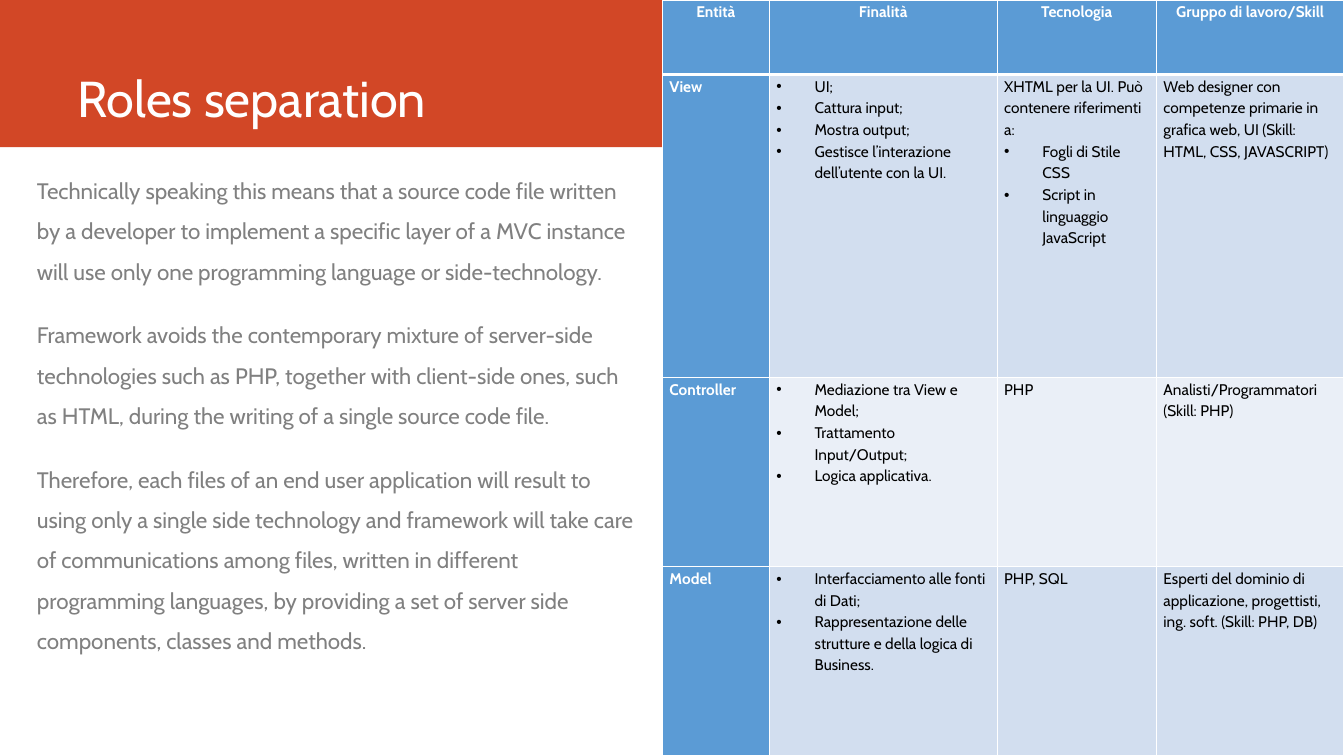
from lxml import etree
from pptx import Presentation
from pptx.dml.color import RGBColor
from pptx.enum.shapes import MSO_SHAPE
from pptx.enum.text import MSO_ANCHOR, MSO_AUTO_SIZE, PP_ALIGN
from pptx.oxml.ns import qn
from pptx.util import Emu, Inches, Pt

RECTANGLE = MSO_SHAPE.RECTANGLE
TOP, BOTTOM = MSO_ANCHOR.TOP, MSO_ANCHOR.BOTTOM
LEFT, CENTER = PP_ALIGN.LEFT, PP_ALIGN.CENTER
NO_AUTOFIT = MSO_AUTO_SIZE.NONE

FONT = "Cabin"
WHITE, BLACK, GREY = "FFFFFF", "000000", "808080"
ORANGE, BLUE = "D24726", "5B9BD5"
BANDS = ("D2DEEF", "EAEFF7")
BULLET = "• "

TITLE = "Roles separation"
EXPLANATION = [
    "Technically speaking this means that a source code file written by a developer to "
    "implement a specific layer of a MVC instance will use only one programming language "
    "or side-technology.",
    "Framework avoids the contemporary mixture of server-side technologies such as PHP, "
    "together with client-side ones, such as HTML, during the writing of a single source "
    "code file.",
    "Therefore, each files of an end user application will result to using only a single "
    "side technology and framework will take care of communications among files, written "
    "in different programming languages, by providing a set of server side components, "
    "classes and methods.",
]
# One string per cell; each line is a paragraph, and a leading bullet makes a list item.
ROLES = [
    ["Entità", "Finalità", "Tecnologia", "Gruppo di lavoro/Skill"],
    ["View",
     "• UI;\n• Cattura input;\n• Mostra output;\n"
     "• Gestisce l’interazione dell’utente con la UI.",
     "XHTML per la UI. Può contenere riferimenti a:\n• Fogli di Stile CSS\n"
     "• Script in linguaggio JavaScript",
     "Web designer con competenze primarie in grafica web, UI "
     "(Skill: HTML, CSS, JAVASCRIPT)"],
    ["Controller",
     "• Mediazione tra View e Model;\n• Trattamento Input/Output;\n• Logica applicativa.",
     "PHP",
     "Analisti/Programmatori (Skill: PHP)"],
    ["Model",
     "• Interfacciamento alle fonti di Dati;\n"
     "• Rappresentazione delle strutture e della logica di Business.",
     "PHP, SQL",
     "Esperti del dominio di applicazione, progettisti, ing. soft. (Skill: PHP, DB)"],
]
COLUMN_WEIGHTS = (1.06, 2.26, 1.58, 1.86)
ROW_WEIGHTS = (0.74, 3.01, 1.88, 1.88)


def color(hex_string):
    return RGBColor.from_string(hex_string)


def style_runs(paragraph, size, hex_string, bold=False):
    for run in paragraph.runs:
        run.font.name = FONT
        run.font.size = Pt(size)
        run.font.bold = bold
        run.font.color.rgb = color(hex_string)


def set_bullet(paragraph, character=None, indent=0):
    """Give the paragraph a hanging bullet, or none if there is no character."""
    properties = paragraph._p.get_or_add_pPr()
    properties.set("marL", str(indent))
    properties.set("indent", str(-indent))
    if character:
        etree.SubElement(properties, qn("a:buFont"), typeface="Arial")
        etree.SubElement(properties, qn("a:buChar"), char=character)
    else:
        etree.SubElement(properties, qn("a:buNone"))


def place(shape, box):
    shape.left, shape.top, shape.width, shape.height = box


def add_title_band(slide, box):
    left, top, width, height = box
    band = slide.shapes.add_shape(RECTANGLE, *box)
    band.shadow.inherit = False
    band.fill.solid()
    band.fill.fore_color.rgb = color(ORANGE)
    band.line.fill.background()
    slide.shapes._spTree.insert(2, band._element)

    title = slide.shapes.title
    place(title, (left + int(width * 0.05), top, int(width * 0.88), int(height * 0.9)))
    frame = title.text_frame
    frame.text = TITLE
    frame.auto_size = NO_AUTOFIT
    frame.vertical_anchor = BOTTOM
    heading = frame.paragraphs[0]
    heading.alignment = LEFT
    style_runs(heading, 36, WHITE)


def fill_explanation(slide, box):
    body = slide.placeholders[1]
    place(body, box)
    frame = body.text_frame
    frame.text = "\n".join(EXPLANATION)
    frame.auto_size = NO_AUTOFIT
    frame.vertical_anchor = TOP
    for paragraph in frame.paragraphs:
        paragraph.line_spacing = 1.5
        paragraph.space_before = Pt(4.8)
        paragraph.space_after = Pt(12)
        set_bullet(paragraph)
        style_runs(paragraph, 16, GREY)


def set_borders(cell, top, bottom):
    properties = cell._tc.get_or_add_tcPr()
    widths = (("a:lnL", 1), ("a:lnR", 1), ("a:lnT", top), ("a:lnB", bottom))
    for position, (tag, points) in enumerate(widths):
        line = etree.Element(qn(tag), w=str(Pt(points)))
        fill = etree.SubElement(line, qn("a:solidFill"))
        etree.SubElement(fill, qn("a:srgbClr"), val=WHITE)
        properties.insert(position, line)


def fill_cell(cell, text, row, column):
    heading = row == 0 or column == 0
    cell.fill.solid()
    cell.fill.fore_color.rgb = color(BLUE if heading else BANDS[(row - 1) % 2])
    set_borders(cell, 3 if row == 1 else 1, 3 if row == 0 else 1)
    cell.margin_left = cell.margin_right = Inches(0.07)
    cell.margin_top = cell.margin_bottom = 0
    cell.vertical_anchor = TOP
    lines = text.split("\n")
    cell.text_frame.text = "\n".join(line.removeprefix(BULLET) for line in lines)
    for paragraph, line in zip(cell.text_frame.paragraphs, lines):
        paragraph.alignment = CENTER if row == 0 else LEFT
        paragraph.line_spacing = 1.15
        if line.startswith(BULLET):
            set_bullet(paragraph, BULLET.strip(), Inches(0.38))
        style_runs(paragraph, 11, WHITE if heading else BLACK, heading)


def add_roles_table(slide, box):
    left, top, width, height = box
    table = slide.shapes.add_table(len(ROLES), len(ROLES[0]), *box).table
    for column, weight in zip(table.columns, COLUMN_WEIGHTS):
        column.width = Emu(int(width * weight / sum(COLUMN_WEIGHTS)))
    for row, weight in zip(table.rows, ROW_WEIGHTS):
        row.height = Emu(int(height * weight / sum(ROW_WEIGHTS)))
    for row, texts in enumerate(ROLES):
        for column, text in enumerate(texts):
            fill_cell(table.cell(row, column), text, row, column)


def main():
    presentation = Presentation()
    presentation.slide_width = Inches(13.33)
    presentation.slide_height = Inches(7.5)
    slide = presentation.slides.add_slide(presentation.slide_layouts[1])
    width, height = presentation.slide_width, presentation.slide_height
    band_height = Inches(1.46)
    table_left = Inches(6.57)

    add_title_band(slide, (0, 0, width, band_height))
    fill_explanation(slide, (int(width * 0.02), int(height * 0.21),
                             Inches(6.17), Inches(5.66)))
    add_roles_table(slide, (table_left, 0, width - table_left, height))
    presentation.save("out.pptx")


if __name__ == "__main__":
    main()
